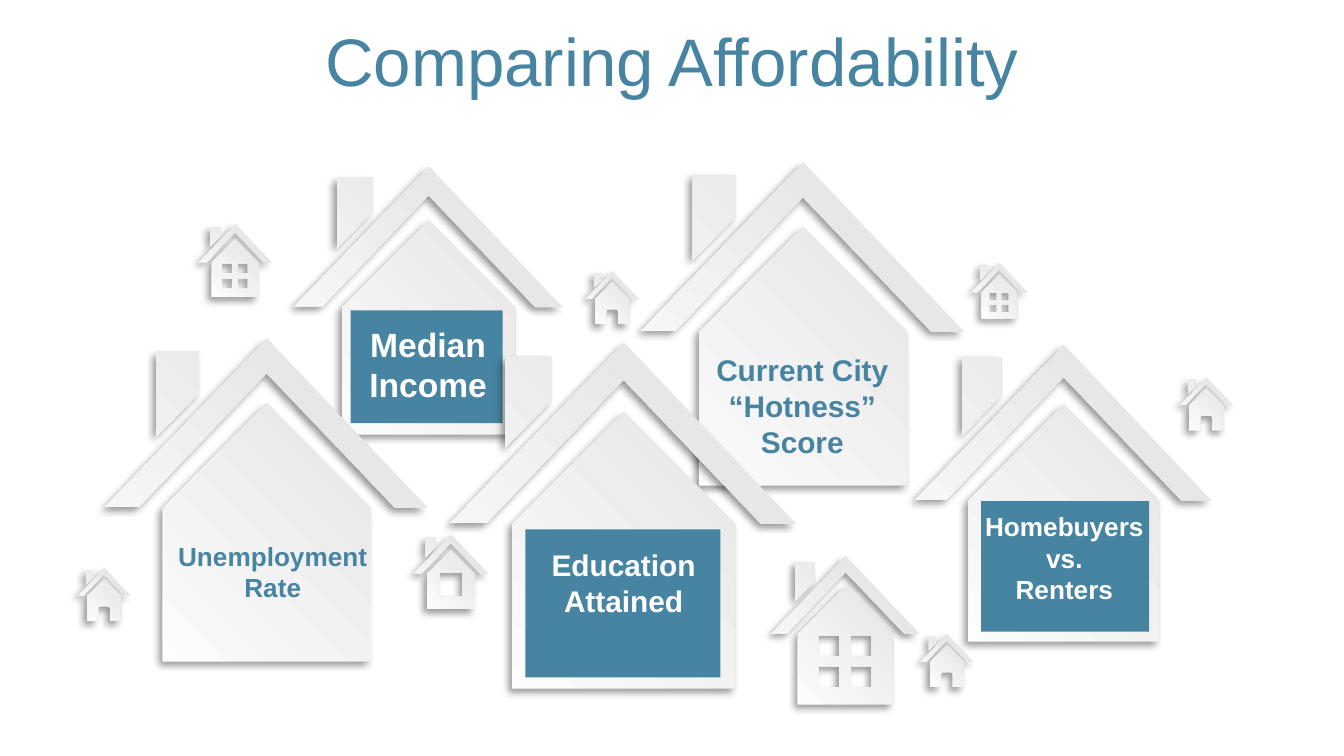
from math import cos, pi, sin

from lxml import etree
from pptx import Presentation, util as u
from pptx.dml.color import RGBColor
from pptx.enum import shapes, text
from pptx.oxml.ns import qn

HUES = {"blue": "4784A1", "white": "FFFFFF", "gray": "DEDEDE", "black": "000000"}
WIDTH = 10  # inches, in a 16:9 frame

# House outline on a grid of 1000 by 1000
WALLS = [(502, 200), (825, 525), (825, 1000), (180, 1000), (180, 525)]
STACK = [(160, 40), (292, 40), (292, 170), (160, 304)]
ROOF = [
    [(502, 0), (1000, 525), (900, 525), (502, 108)],
    [(502, 0), (502, 108), (106, 522), (0, 522)],
]


def hue(name):
    return RGBColor.from_string(HUES[name])


def pane(left, top, wide, high):
    return [(left, top), (left, top + high),
            (left + wide, top + high), (left + wide, top)]


def door():
    """Walls with a round-cornered door cut into the foot."""
    turns = [step * pi / 8 for step in range(5)]
    right = [(565 + 50 * cos(a), 770 - 50 * sin(a)) for a in turns]
    left = [(435 - 50 * sin(a), 770 - 50 * cos(a)) for a in turns]
    notch = [(615, 1000)] + right + left + [(385, 1000)]
    return WALLS[:3] + notch + WALLS[3:]


FRONTS = {
    "plain": [WALLS],
    "door": [door()],
    "window": [pane(345, 510, 310, 325), WALLS],
    "panes": [pane(x, y, 140, 140) for y in (745, 536) for x in (536, 318)] + [WALLS],
}


def shade(shape):
    """Soft shadow falling to the lower left."""
    shape.shadow.inherit = False
    glow = shape._element.spPr.find(qn("a:effectLst"))
    cast = etree.SubElement(glow, qn("a:outerShdw"), blurRad=str(u.Pt(4)),
                            dist=str(u.Pt(3)), dir=str(135 * 60000),
                            algn="tr", rotWithShape="0")
    tint = etree.SubElement(cast, qn("a:srgbClr"), val=HUES["black"])
    etree.SubElement(tint, qn("a:alpha"), val="40000")


def house(slide, left, top, size, front):
    parts = FRONTS[front] + [STACK] + ROOF
    pen = slide.shapes.build_freeform(*parts[0][0], scale=u.Inches(size) / 1000)
    for num, part in enumerate(parts):
        if num:
            pen.move_to(*part[0])
        pen.add_line_segments(part[1:], close=True)
    shape = pen.convert_to_shape(u.Inches(left), u.Inches(top))
    shape.fill.gradient()
    shape.fill.gradient_angle = 225
    for stop, name in zip(shape.fill.gradient_stops, ("gray", "white")):
        stop.color.rgb = hue(name)
    shape.line.fill.background()
    shade(shape)


def panel(slide, box):
    shape = slide.shapes.add_shape(shapes.MSO_SHAPE.RECTANGLE, *map(u.Inches, box))
    shape.shadow.inherit = False
    shape.fill.solid()
    shape.fill.fore_color.rgb = hue("blue")
    shape.line.fill.background()


def label(slide, box, lines, size, color, bold=True, anchor=text.MSO_ANCHOR.TOP):
    frame = slide.shapes.add_textbox(*map(u.Inches, box)).text_frame
    frame.word_wrap = True
    frame.vertical_anchor = anchor
    frame.text = "\n".join(lines)
    style = {"name": "Arial", "size": u.Pt(size), "bold": bold}
    for para in frame.paragraphs:
        para.alignment = text.PP_ALIGN.CENTER
        for key, value in style.items():
            setattr(para.font, key, value)
        para.font.color.rgb = hue(color)


def topic(slide, left, top, size, sign, note, lines, points):
    """Large house with a label; sign and note are offsets from its corner."""
    def place(box):
        return (left + box[0], top + box[1], *box[2:])

    house(slide, left, top, size, "plain")
    if sign:
        panel(slide, place(sign))
    label(slide, place(note), lines, points, "white" if sign else "blue")


# Left, top, size, panel, label box, lines, points
TOPICS = [
    (2.19, 1.24, 1.99, (0.42, 1.07, 1.13, 0.84), (0.35, 1.12, 1.29, 0.71),
     ["Median Income"], 18),
    (4.77, 1.21, 2.4, None, (0.45, 1.36, 1.5, 0.91),
     ["Current City “Hotness” Score"], 16),
    (3.35, 2.55, 2.57, (0.56, 1.39, 1.45, 1.1), (0.54, 1.47, 1.5, 0.64),
     ["Education Attained"], 16),
    (6.81, 2.57, 2.2, (0.49, 1.16, 1.25, 0.97), (0.36, 1.18, 1.5, 0.81),
     ["Homebuyers", "vs.", "Renters"], 14),
    (0.78, 2.52, 2.4, None, (0.42, 1.45, 1.66, 0.63),
     ["Unemployment", "Rate"], 14),
]

# Left, top, size, front
SMALL = [
    (5.74, 4.14, 1.1, "panes"),
    (3.08, 3.98, 0.55, "window"),
    (4.36, 2.02, 0.39, "door"),
    (6.85, 4.72, 0.39, "door"),
    (8.78, 2.81, 0.39, "door"),
    (0.58, 4.23, 0.39, "door"),
    (7.23, 1.96, 0.41, "panes"),
    (1.48, 1.67, 0.54, "panes"),
]


def main():
    deck = Presentation()
    deck.slide_width = u.Inches(WIDTH)
    deck.slide_height = u.Inches(WIDTH * 9 / 16)
    slide = deck.slides.add_slide(deck.slide_layouts[6])

    # Title
    label(slide, (0, 0.13, WIDTH, 0.63), ["Comparing Affordability"], 36, "blue",
          bold=False, anchor=text.MSO_ANCHOR.MIDDLE)

    # Houses
    for item in TOPICS:
        topic(slide, *item)
    for item in SMALL:
        house(slide, *item)

    deck.save("out.pptx")


if __name__ == "__main__":
    main()
